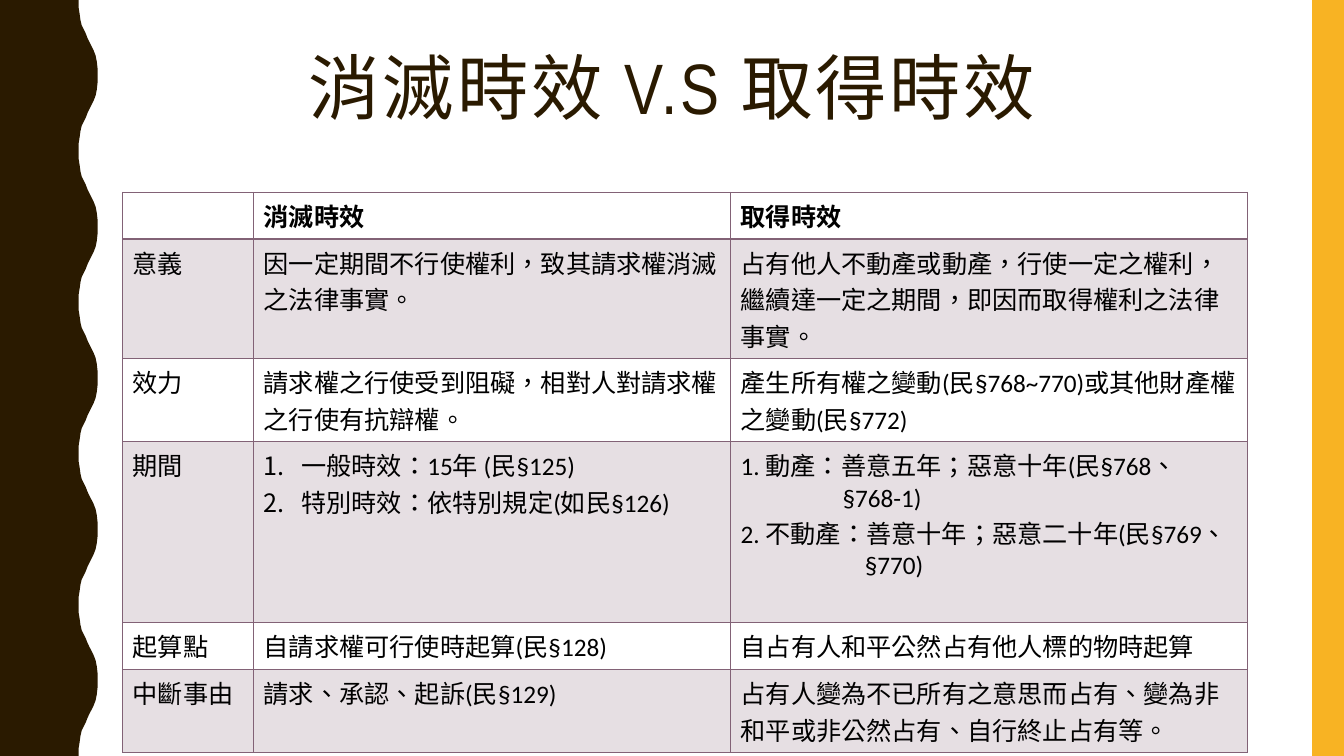
from lxml.etree import SubElement
from pptx import Presentation
from pptx.dml.color import RGBColor
from pptx.enum.shapes import MSO_SHAPE as Shape
from pptx.enum.text import MSO_ANCHOR as Anchor, MSO_AUTO_SIZE as Auto, PP_ALIGN as Align
from pptx.oxml.ns import qn
from pptx.util import Cm, Pt

HUES = {"brown": "2A1A00", "gold": "F8B323", "plum": "826276", "black": "000000"}

# Half of one wave, in cm: distance down, distance across
CURVE = [(0, 1.98), (0.18, 1.98), (0.36, 2.01), (0.51, 2.03), (0.64, 2.06),
         (0.74, 2.11), (0.84, 2.16), (0.97, 2.21), (1.07, 2.26), (1.17, 2.31),
         (1.27, 2.36), (1.4, 2.41), (1.55, 2.44), (1.73, 2.46), (1.9, 2.46)]
WAVES = 5

COLS = [3.3, 12.02, 13.03]
ROWS = [1.14, 2.84, 1.98, 3.71, 1.14, 1.98]
CELLS = [
    ["", "消滅時效", "取得時效"],
    ["意義", "因一定期間不行使權利，致其請求權消滅之法律事實。",
     "占有他人不動產或動產，行使一定之權利，繼續達一定之期間，即因而取得權利之法律事實。"],
    ["效力", "請求權之行使受到阻礙，相對人對請求權之行使有抗辯權。",
     "產生所有權之變動(民§768~770)或其他財產權之變動(民§772)"],
    ["期間", "一般時效：15年 (民§125)\n特別時效：依特別規定(如民§126)",
     "1. 動產：善意五年；惡意十年(民§768、\n§768-1)\n"
     "2. 不動產：善意十年；惡意二十年(民§769、\n§770)"],
    ["起算點", "自請求權可行使時起算(民§128)", "自占有人和平公然占有他人標的物時起算"],
    ["中斷事由", "請求、承認、起訴(民§129)",
     "占有人變為不已所有之意思而占有、變為非和平或非公然占有、自行終止占有等。"],
]
TERM = 3  # row of the periods, which holds the lists
INDENTS = {1: 2.57, 3: 3.13}


def hue(name):
    return RGBColor.from_string(HUES[name])


def paint(shape, name):
    shape.shadow.inherit = False
    shape.fill.solid()
    shape.fill.fore_color.rgb = hue(name)
    shape.line.fill.background()


def style(para, face, size, name, bold=False, gap=0):
    """Format the runs; gap is the letter spacing in points."""
    for run in para.runs:
        font = run.font
        font.name, font.size, font.bold = face, Pt(size), bold
        font.color.rgb = hue(name)
        props = run._r.get_or_add_rPr()
        props.set("lang", "zh-TW")
        if gap:
            props.set("spc", str(gap * 100))


def add_wave(slide, box):
    left, top, high = box
    step = high / WAVES
    half = [(Cm(y), Cm(x)) for y, x in CURVE]
    full = half + [(step - y, x) for y, x in half[-2::-1]]
    edge = [(left + x, int(top + n * step + y)) for n in range(WAVES) for y, x in full]
    pen = slide.shapes.build_freeform(left, top)
    pen.add_line_segments(edge + [(left, top + high)], close=True)
    paint(pen.convert_to_shape(), "brown")


def add_band(slide, box):
    paint(slide.shapes.add_shape(Shape.RECTANGLE, *box), "gold")


def add_title(slide, box):
    title = slide.shapes.title
    title.left, title.top, title.width, title.height = box
    frame = title.text_frame
    frame.text = "消滅時效 V.S 取得時效"
    frame.auto_size, frame.vertical_anchor = Auto.NONE, Anchor.TOP
    para = frame.paragraphs[0]
    para.alignment, para.line_spacing = Align.CENTER, 0.9
    style(para, "Arial Narrow", 51, "brown", gap=2)


def rule(cell, side, width):
    props = cell._tc.get_or_add_tcPr()
    line = SubElement(props, qn("a:ln" + side), w=str(Pt(width)))
    fill = SubElement(line, qn("a:solidFill"))
    SubElement(fill, qn("a:srgbClr"), val=HUES["plum"])


def shade(cell, tinted):
    if not tinted:
        cell.fill.background()
        return
    cell.fill.solid()
    cell.fill.fore_color.rgb = hue("plum")
    tint = cell._tc.tcPr.find(qn("a:solidFill")).find(qn("a:srgbClr"))
    SubElement(tint, qn("a:alpha"), val="20000")


def indent(para, left, first=0):
    props = para._p.get_or_add_pPr()
    props.set("marL", str(Cm(left)))
    props.set("indent", str(Cm(first)))
    return props


def add_lists(cells):
    """Number the second cell and set in the article lines of the third."""
    for para in cells[1].text_frame.paragraphs:
        props = indent(para, 0.95, -0.95)
        SubElement(props, qn("a:buFont"), typeface="+mj-lt")
        SubElement(props, qn("a:buAutoNum"), type="arabicPeriod")
    paras = cells[2].text_frame.paragraphs
    for n, left in INDENTS.items():
        indent(paras[n], left)


def add_grid(slide, box):
    left, top = box
    table = slide.shapes.add_table(len(ROWS), len(COLS), left, top,
                                   Cm(sum(COLS)), Cm(sum(ROWS))).table
    table.first_row = table.horz_banding = False
    for col, wide in zip(table.columns, COLS):
        col.width = Cm(wide)
    for r, (row, high) in enumerate(zip(table.rows, ROWS)):
        row.height = Cm(high)
        for cell, text in zip(row.cells, CELLS[r]):
            cell.text = text
            for side in "LRTB":
                thick = (r, side) in [(0, "B"), (1, "T")]
                rule(cell, side, 2 if thick else 1)
            shade(cell, r % 2 == 1)
    add_lists([table.cell(TERM, c) for c in range(len(COLS))])
    for r, row in enumerate(table.rows):
        for cell in row.cells:
            for para in cell.text_frame.paragraphs:
                style(para, "Calibri", 18, "black", bold=r == 0)


def main():
    deck = Presentation()
    deck.slide_width, deck.slide_height = Cm(33.87), Cm(19.05)
    slide = deck.slides.add_slide(deck.slide_layouts[5])
    add_wave(slide, (0, 0, deck.slide_height))
    add_band(slide, (Cm(33.07), 0, Cm(0.8), deck.slide_height))
    add_title(slide, (Cm(2.8), Cm(1.2), Cm(28.27), Cm(4.14)))
    add_grid(slide, (Cm(3.09), Cm(4.85)))
    deck.save("out.pptx")


if __name__ == "__main__":
    main()
